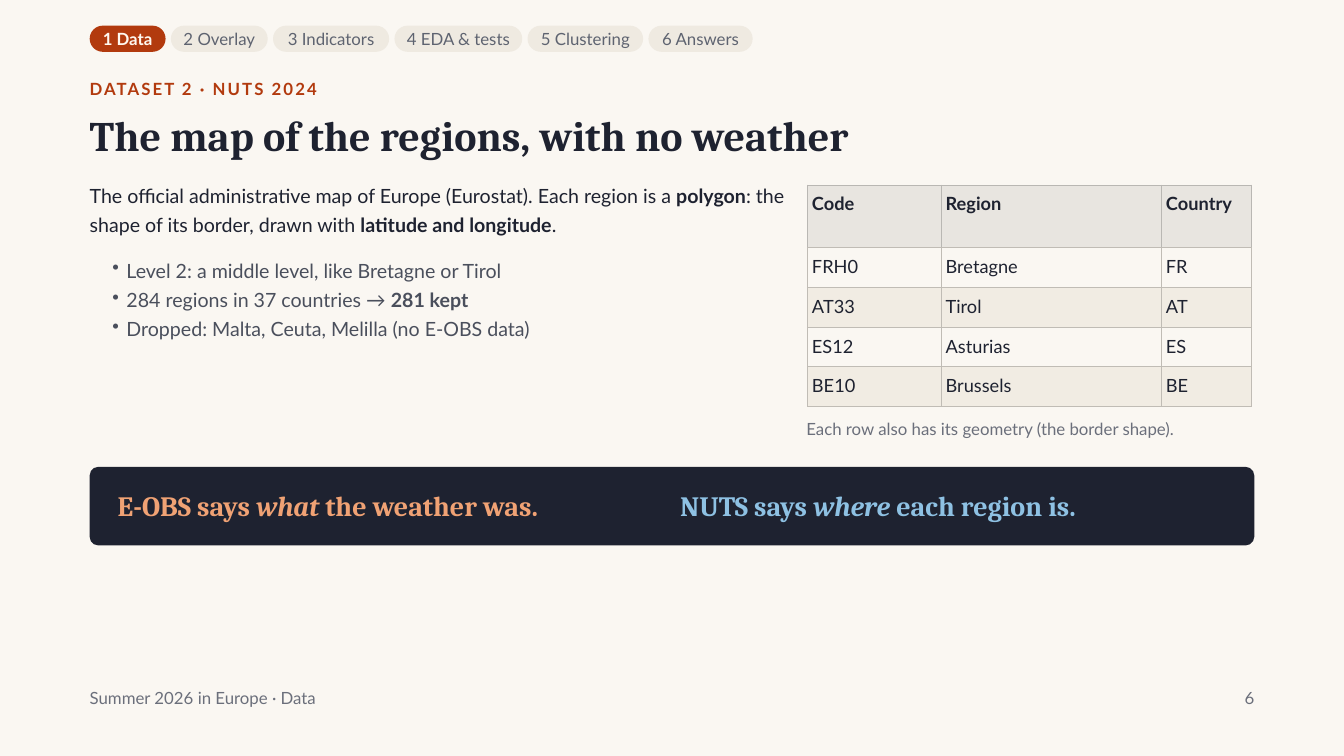
from lxml import etree
from pptx import Presentation
from pptx.dml.color import RGBColor
from pptx.enum.shapes import MSO_SHAPE
from pptx.enum.text import MSO_ANCHOR, PP_ALIGN
from pptx.oxml.ns import qn
from pptx.util import Cm, Pt

COLORS = {
    "paper": "FAF7F2", "ink": "1E2230", "rust": "B23A0E", "cream": "FFF8F0",
    "pill": "EFEAE1", "pill_text": "5E6370", "bullet": "4A4F5C", "muted": "6B6F7B",
    "head": "E8E5E0", "head_line": "B9B7B3", "band": "F1ECE3", "line": "C0BCB5",
    "orange": "F0A274", "blue": "8EC1E3",
}

# Paragraphs are lists of runs; a run is (text, style), style "b" bold, "i" italic.
STEPS = [("1 Data", 2.87), ("2 Overlay", 3.66), ("3 Indicators", 4.39),
         ("4 EDA & tests", 4.83), ("5 Clustering", 4.37), ("6 Answers", 3.94)]
KICKER = "DATASET 2 · NUTS 2024"
TITLE = "The map of the regions, with no weather"
INTRO = [[("The official administrative map of Europe (Eurostat). Each region is a ", ""),
          ("polygon", "b"), (": the shape of its border, drawn with ", ""),
          ("latitude and longitude", "b"), (".", "")]]
BULLETS = [
    [("Level 2: a middle level, like Bretagne or Tirol", "")],
    [("284 regions in 37 countries → ", ""), ("281 kept", "b")],
    [("Dropped: Malta, Ceuta, Melilla (no E-OBS data)", "")],
]
REGIONS = [("Code", "Region", "Country"), ("FRH0", "Bretagne", "FR"),
           ("AT33", "Tirol", "AT"), ("ES12", "Asturias", "ES"), ("BE10", "Brussels", "BE")]
COL_WIDTHS = [5.05, 8.33, 3.4]
ROW_HEIGHTS = [2.38] + [1.5] * 4
CAPTION = "Each row also has its geometry (the border shape)."
CLAIMS = [
    ([("E-OBS says ", ""), ("what", "i"), (" the weather was.", "")], "orange"),
    ([("NUTS says ", ""), ("where", "i"), (" each region is.", "")], "blue"),
]
FOOTER, PAGE = "Summer 2026 in Europe · Data", "6"

LEFT, RIGHT = 3.39, 47.41
STEP_TOP, STEP_H, STEP_GAP = 0.97, 0.99, 0.2
TABLE_LEFT, TABLE_TOP = 30.53, 6.99


def rgb(name):
    return RGBColor.from_string(COLORS[name])


def write(tf, content, size=18, color="ink", font="Lato", bold=False, line=25.2,
          align=PP_ALIGN.LEFT, spacing=None, bullet=False):
    """Fill a text frame with a string or a list of paragraphs."""
    paragraphs = [[(content, "")]] if isinstance(content, str) else content
    for n, runs in enumerate(paragraphs):
        p = tf.add_paragraph() if n else tf.paragraphs[0]
        p.alignment, p.line_spacing, p.space_before = align, Pt(line), Pt(0)
        if bullet:
            pPr = p._p.get_or_add_pPr()
            pPr.set("marL", str(Cm(1.07)))
            pPr.set("indent", str(Cm(-0.53)))
            etree.SubElement(pPr, qn("a:buChar")).set("char", "•")
        for text, style in runs:
            r = p.add_run()
            r.text = text
            r.font.name, r.font.size = font, Pt(size)
            r.font.color.rgb = rgb(color)
            r.font.bold = bold or style == "b"
            r.font.italic = style == "i"
            if spacing:
                r._r.get_or_add_rPr().set("spc", str(int(spacing * 100)))


def set_margins(tf, margin=0):
    tf.margin_left = tf.margin_right = tf.margin_top = tf.margin_bottom = Cm(margin)


def add_text(slide, content, x, y, w, h, **fmt):
    tf = slide.shapes.add_textbox(Cm(x), Cm(y), Cm(w), Cm(h)).text_frame
    tf.word_wrap = True
    set_margins(tf)
    write(tf, content, **fmt)


def add_rounded(slide, x, y, w, h, fill, radius):
    """Add a rounded panel; radius is a share of its height."""
    sp = slide.shapes.add_shape(MSO_SHAPE.ROUNDED_RECTANGLE, Cm(x), Cm(y), Cm(w), Cm(h))
    sp.adjustments[0] = radius
    sp.shadow.inherit = False
    sp.fill.solid()
    sp.fill.fore_color.rgb = rgb(fill)
    sp.line.fill.background()
    return sp


def add_steps(slide):
    x = LEFT
    for n, (label, width) in enumerate(STEPS):
        active = n == 0
        sp = add_rounded(slide, x, STEP_TOP, width, STEP_H, "rust" if active else "pill", 0.5)
        tf = sp.text_frame
        set_margins(tf)
        tf.margin_bottom = Cm(0.13)
        tf.word_wrap = False
        tf.vertical_anchor = MSO_ANCHOR.MIDDLE
        write(tf, label, color="cream" if active else "pill_text", bold=active,
              align=PP_ALIGN.CENTER)
        x += width + STEP_GAP


def set_borders(cell, color):
    tcPr = cell._tc.get_or_add_tcPr()
    for side in ("a:lnL", "a:lnR", "a:lnT", "a:lnB"):
        ln = etree.SubElement(tcPr, qn(side), w=str(Pt(1)))
        fill = etree.SubElement(ln, qn("a:solidFill"))
        etree.SubElement(fill, qn("a:srgbClr"), val=COLORS[color])


def add_regions(slide):
    frame = slide.shapes.add_table(
        len(REGIONS), len(COL_WIDTHS), Cm(TABLE_LEFT), Cm(TABLE_TOP),
        Cm(sum(COL_WIDTHS)), Cm(sum(ROW_HEIGHTS)))
    table = frame.table
    table.horz_banding = False
    for column, width in zip(table.columns, COL_WIDTHS):
        column.width = Cm(width)
    for i, (row, height) in enumerate(zip(table.rows, ROW_HEIGHTS)):
        row.height = Cm(height)
        head = i == 0
        for cell, text in zip(row.cells, REGIONS[i]):
            set_margins(cell, 0.16)
            write(cell.text_frame, text, size=19.5, bold=head, line=27.3)
            set_borders(cell, "head_line" if head else "line")
            if i % 2:
                cell.fill.background()
            else:
                cell.fill.solid()
                cell.fill.fore_color.rgb = rgb("head" if head else "band")


def main():
    prs = Presentation()
    prs.slide_width, prs.slide_height = Cm(50.8), Cm(28.58)
    slide = prs.slides.add_slide(prs.slide_layouts[5])
    slide.background.fill.solid()
    slide.background.fill.fore_color.rgb = rgb("paper")

    add_steps(slide)
    add_text(slide, KICKER, LEFT, 2.84, 45.34, 1.09, color="rust", bold=True, spacing=2.2)

    title = slide.shapes.title
    title.left, title.top, title.width, title.height = Cm(LEFT), Cm(4.24), Cm(45.34), Cm(1.85)
    set_margins(title.text_frame)
    title.text_frame.vertical_anchor = MSO_ANCHOR.TOP
    write(title.text_frame, TITLE, size=45, font="Cambria", bold=True, line=51.7)

    add_text(slide, INTRO, LEFT, 6.78, 26.59, 2.41, size=21, line=30.4)
    add_text(slide, BULLETS, 3.71, 9.55, 26.24, 3.63, size=21, color="bullet",
             line=31.5, bullet=True)
    add_regions(slide)
    add_text(slide, CAPTION, 30.48, 15.7, 17.45, 1.09, color="muted")

    add_rounded(slide, LEFT, 17.65, RIGHT - LEFT, 2.97, "ink", 0.11)
    for n, (claim, color) in enumerate(CLAIMS):
        add_text(slide, [claim], 4.45 + n * 21.26, 18.24, 21.26, 1.75, size=30,
                 color=color, font="Cambria", bold=True, line=42)

    add_text(slide, FOOTER, LEFT, 25.88, 38.15, 1.09, color="muted")
    add_text(slide, PAGE, RIGHT - 3.39, 25.88, 3.39, 1.09, color="muted",
             align=PP_ALIGN.RIGHT)
    prs.save("out.pptx")


if __name__ == "__main__":
    main()
